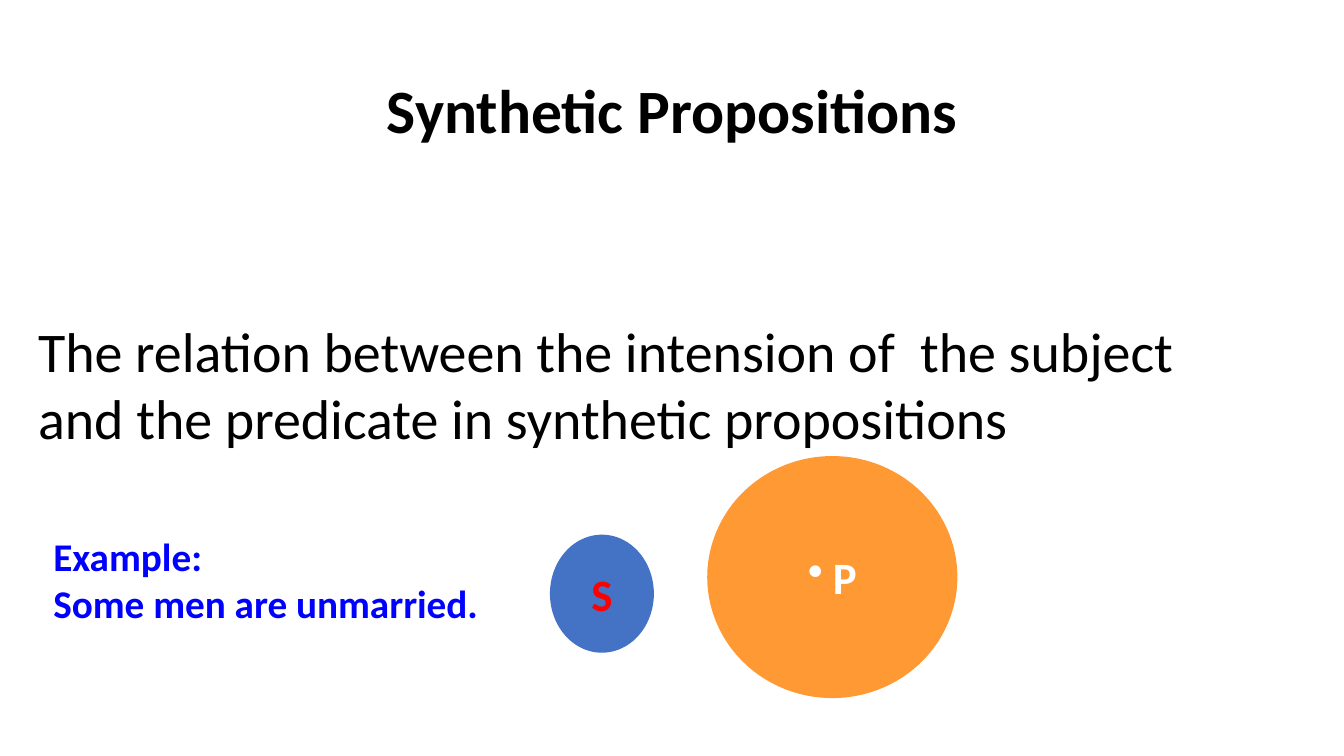
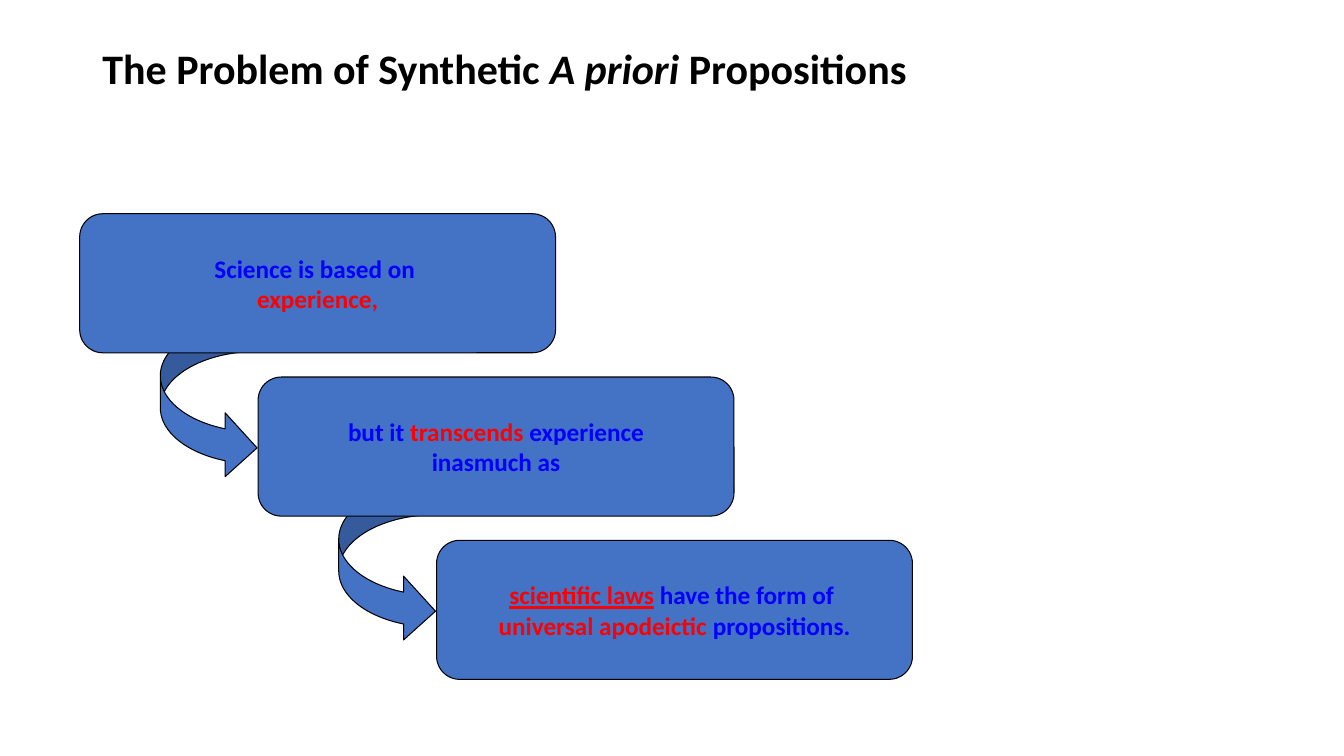
from lxml import etree
from pptx import Presentation
from pptx.dml.color import RGBColor
from pptx.enum import shapes, text
from pptx.oxml import ns
from pptx.util import Pt

PX = 9144  # one px is a hundredth of an inch
FONT = "Calibri"
BLACK, WHITE = "000000", "FFFFFF"
BLUE, RED = "0000FF", "FF0000"
FILL, ORANGE = "4472C4", "FF9933"
KIND = shapes.MSO_SHAPE
MID, LOW, TOP = (text.MSO_ANCHOR.MIDDLE, text.MSO_ANCHOR.BOTTOM,
                 text.MSO_ANCHOR.TOP)
CENTER, LEFT = text.PP_ALIGN.CENTER, text.PP_ALIGN.LEFT


def rgb(code):
    return RGBColor.from_string(code)


def emu(box):
    return [n * PX for n in box]


def run(para, words, size, color, bold=True, style=""):
    """Add a run; each newline in the words becomes a line break."""
    for i, part in enumerate(words.split("\n")):
        if i:
            para.add_line_break()
        if part:
            bit = para.add_run()
            bit.text = part
            font = bit.font
            font.name, font.size, font.bold = FONT, Pt(size), bold
            font.italic = style == "i"
            font.underline = style == "u"
            font.color.rgb = rgb(color)


def write(shape, paras, size, anchor=MID, align=CENTER, wrap=False,
          bold=True, space=1.0):
    """Each paragraph is a list of runs: (words, color, style)."""
    frame = shape.text_frame
    frame.word_wrap = wrap
    frame.vertical_anchor = anchor
    for i, runs in enumerate(paras):
        para = frame.add_paragraph() if i else frame.paragraphs[0]
        para.alignment = align
        para.line_spacing = space
        for words, color, *style in runs:
            run(para, words, size, color, bold, *style)
    return frame


def label(slide, box, paras, size, **how):
    area = slide.shapes.add_textbox(*emu(box))
    return write(area, paras, size, wrap=True, **how)


def title(slide, box, runs, size):
    return label(slide, box, [runs], size, space=0.9)


def draw(slide, kind, box, fill, line, width):
    shape = slide.shapes.add_shape(kind, *emu(box))
    shape.shadow.inherit = False
    shape.fill.solid()
    shape.fill.fore_color.rgb = rgb(fill)
    shape.line.color.rgb = rgb(line)
    shape.line.width = Pt(width)
    return shape


def circle(slide, box, fill, letter, color):
    shape = draw(slide, KIND.OVAL, box, fill, fill, 2.25)
    return write(shape, [[(letter, color)]], 32)


def bullet(para, indent):
    props = para._p.get_or_add_pPr()
    props.set("marL", str(indent * PX))
    props.set("indent", str(-indent * PX))
    mark = etree.SubElement(props, ns.qn("a:buChar"))
    mark.set("char", "•")


def stairs(slide, box, step, steps):
    """Boxes going down to the right, with curved arrows behind them."""
    left, top, wide, high = box
    right, down = step
    spots = [(left + i * right, top + i * down) for i in range(len(steps))]
    # Arrows
    for x, y in reversed(spots[:-1]):
        arrow = draw(slide, KIND.CURVED_RIGHT_ARROW,
                     (x + 80, y + 105, 96, 159), FILL, BLACK, 0.75)
        for i, value in enumerate((0.33, 0.66, 0.33)):
            arrow.adjustments[i] = value
    # Boxes
    for (x, y), runs in zip(spots, steps):
        card = draw(slide, KIND.ROUNDED_RECTANGLE, (x, y, wide, high),
                    FILL, BLACK, 0.75)
        write(card, [runs], 18)


def relation(slide):
    title(slide, (92, 40, 1150, 145), [("Synthetic Propositions", BLACK)], 44)
    # Predicate and subject
    frame = circle(slide, (703, 454, 245, 237), ORANGE, "P", WHITE)
    bullet(frame.paragraphs[0], 25)
    label(slide, (28, 309, 1237, 145),
          [[("The relation between the intension of  the subject "
             "and the predicate in synthetic propositions", BLACK)]],
          40, anchor=TOP, align=LEFT, bold=False)
    circle(slide, (547, 532, 100, 114), FILL, "S", RED)
    # Example
    label(slide, (43, 340, 448, 286),
          [[("Example:", BLUE)], [("Some men are unmarried.", BLUE)]],
          28, anchor=LOW, align=LEFT)


def problem(slide):
    stairs(slide, (79, 212, 472, 138), (177, 162), [
        [("Science is based on \n", BLUE), ("experience,", RED)],
        [("but it ", BLUE), ("transcends", RED),
         (" experience\ninasmuch as", BLUE)],
        [("scientific laws", RED, "u"), (" have the form of \n", BLUE),
         ("universal apodeictic ", RED), ("propositions.", BLUE)],
    ])
    head = title(slide, (11, 30, 979, 125),
                 [("The Problem of Synthetic ", BLACK),
                  ("A priori ", BLACK, "i"), ("Propositions", BLACK)], 30)
    head.margin_bottom = 50 * PX  # lifts the line above the middle


def main():
    deck = Presentation()
    deck.slide_width, deck.slide_height = emu((1333, 750))
    for build in (relation, problem):
        build(deck.slides.add_slide(deck.slide_layouts[6]))
    deck.save("out.pptx")


if __name__ == "__main__":
    main()
